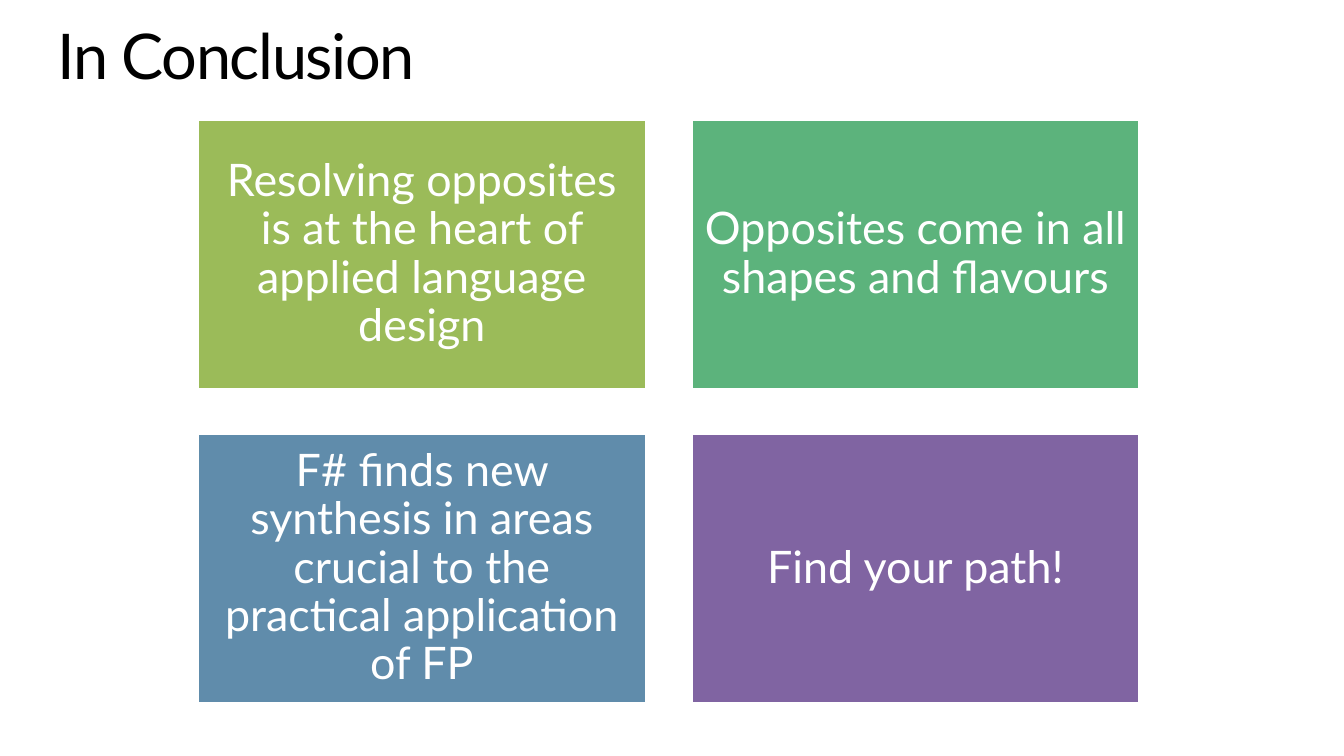
from pptx import Presentation
from pptx.dml.color import RGBColor
from pptx.enum import shapes, text
from pptx.util import Inches, Pt

WHITE = RGBColor(0xFF, 0xFF, 0xFF)
BLACK = RGBColor(0x00, 0x00, 0x00)
GREEN = RGBColor(0x9B, 0xBB, 0x59)
TEAL = RGBColor(0x5C, 0xB3, 0x7C)
BLUE = RGBColor(0x60, 0x8C, 0xAB)
PURPLE = RGBColor(0x80, 0x64, 0xA2)

TITLE = "In Conclusion"
CARDS = [
    ("Resolving opposites is at the heart of applied language design", GREEN),
    ("Opposites come in all shapes and flavours", TEAL),
    ("F# finds new synthesis in areas crucial to the practical application of FP", BLUE),
    ("Find your path!", PURPLE),
]

COLUMNS = 2
LEFT, TOP = 1.96, 1.19
WIDTH, HEIGHT = 4.45, 2.67
GAP = 0.445
TITLE_FORMAT = {"name": "Lato", "size": Pt(45)}
CARD_FORMAT = {"name": "Lato", "size": Pt(32)}


def write(box, words, font_format, color, align, anchor, inset):
    frame = box.text_frame
    frame.word_wrap = True
    frame.vertical_anchor = anchor
    for side in ("left", "top", "right", "bottom"):
        setattr(frame, f"margin_{side}", Inches(inset))
    para = frame.paragraphs[0]
    para.alignment = align
    para.line_spacing = 0.9
    span = para.add_run()
    span.text = words
    for name, value in font_format.items():
        setattr(span.font, name, value)
    span.font.color.rgb = color
    return span


def add_card(page, index, words, color):
    row, column = divmod(index, COLUMNS)
    card = page.shapes.add_shape(
        shapes.MSO_SHAPE.RECTANGLE,
        Inches(LEFT + column * (WIDTH + GAP)),
        Inches(TOP + row * (HEIGHT + GAP)),
        Inches(WIDTH),
        Inches(HEIGHT),
    )
    card.shadow.inherit = False
    card.fill.solid()
    card.fill.fore_color.rgb = color
    card.line.color.rgb = WHITE
    card.line.width = Pt(2)
    write(card, words, CARD_FORMAT, WHITE,
          text.PP_ALIGN.CENTER, text.MSO_ANCHOR.MIDDLE, 0.12)


def main():
    deck = Presentation()
    deck.slide_width, deck.slide_height = Inches(13.33), Inches(7.5)
    page = deck.slides.add_slide(deck.slide_layouts[6])
    for index, (words, color) in enumerate(CARDS):
        add_card(page, index, words, color)
    title = page.shapes.add_textbox(Inches(0.57), Inches(0.25), Inches(12.2), Inches(0.68))
    span = write(title, TITLE, TITLE_FORMAT, BLACK,
                 text.PP_ALIGN.LEFT, text.MSO_ANCHOR.TOP, 0)
    span.font._element.set("spc", "-100")
    deck.save("out.pptx")


if __name__ == "__main__":
    main()
